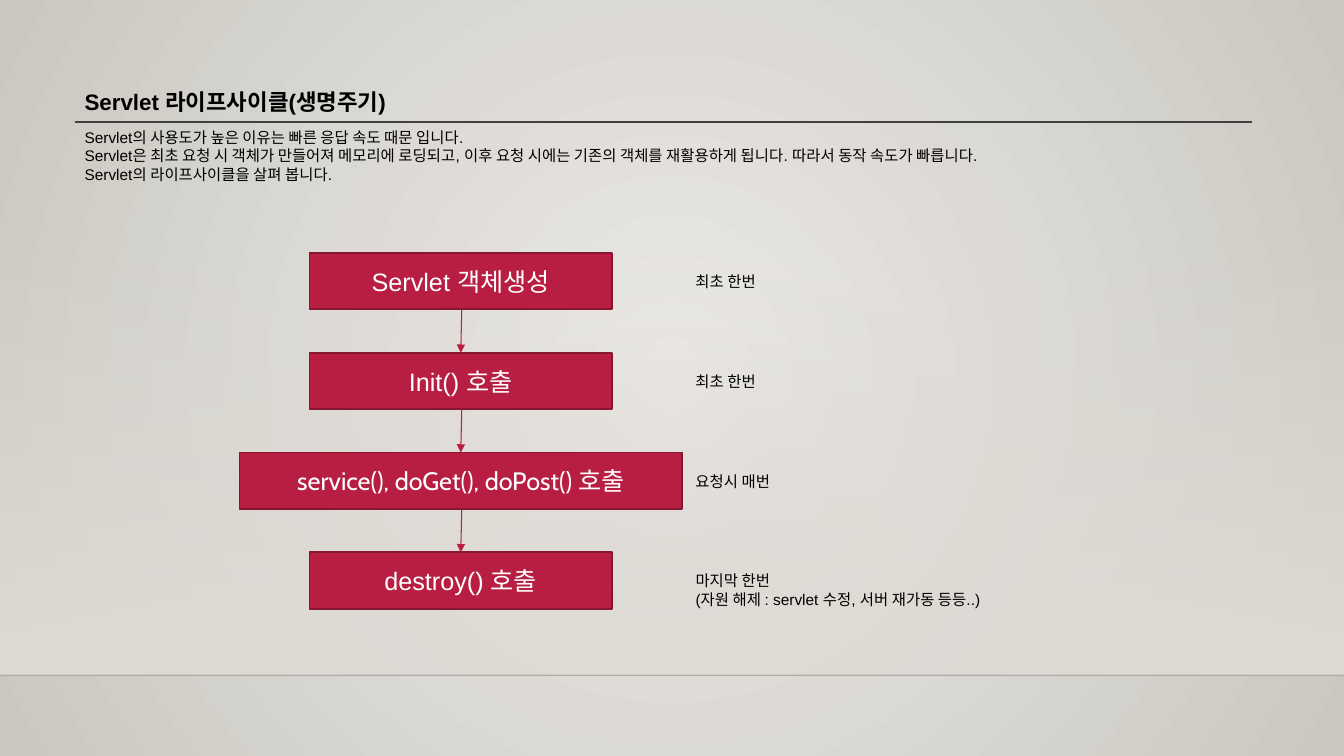
import lxml.etree
import pptx
import pptx.dml.color
import pptx.enum.dml
import pptx.enum.shapes
import pptx.enum.text
import pptx.oxml
import pptx.oxml.ns
import pptx.util

Inches = pptx.util.Inches
Pt = pptx.util.Pt
RGBColor = pptx.dml.color.RGBColor
qn = pptx.oxml.ns.qn

BLACK = RGBColor(0x00, 0x00, 0x00)
WHITE = RGBColor(0xFF, 0xFF, 0xFF)
CRIMSON = RGBColor(0xB7, 0x1E, 0x42)
DARK_CRIMSON = RGBColor(0x87, 0x16, 0x31)
RULE_GREY = RGBColor(0x40, 0x40, 0x40)
FLOOR_BLACK = RGBColor(0x00, 0x00, 0x01)
GLOW = RGBColor(0xEC, 0xEA, 0xE7)
EDGE = RGBColor(0xCA, 0xC7, 0xC1)
HAZE = RGBColor(0xDF, 0xDB, 0xD5)

RADIAL = ('<a:path path="circle"><a:fillToRect l="50000" t="50000" '
          'r="50000" b="50000"/></a:path>')
DOWNWARD = '<a:lin ang="5400000" scaled="0"/>'


class LifecycleSlide:
    font = "Arial"
    note_size = 11
    step_size = 18

    def __init__(self, slide):
        self.slide = slide

    def gradient(self, parent, start, end, direction, start_alpha=100):
        solid = parent.find(qn("a:solidFill"))
        parent.replace(solid, pptx.oxml.parse_xml(
            f'<a:gradFill {pptx.oxml.ns.nsdecls("a")} rotWithShape="1"><a:gsLst>'
            f'<a:gs pos="0"><a:srgbClr val="{start}">'
            f'<a:alpha val="{start_alpha * 1000}"/></a:srgbClr></a:gs>'
            f'<a:gs pos="100000"><a:srgbClr val="{end}"/></a:gs>'
            f'</a:gsLst>{direction}</a:gradFill>'))

    def background(self):
        self.slide.background.fill.solid()
        properties = self.slide.element.find(".//" + qn("p:bgPr"))
        self.gradient(properties, GLOW, EDGE, RADIAL)

    def rectangle(self, left, top, width, height, color):
        panel = self.slide.shapes.add_shape(
            pptx.enum.shapes.MSO_SHAPE.RECTANGLE,
            Inches(left), Inches(top), Inches(width), Inches(height))
        panel.shadow.inherit = False
        panel.fill.solid()
        panel.fill.fore_color.rgb = color
        return panel

    def haze(self, top, height):
        panel = self.rectangle(0, top, 13.33, height, HAZE)
        panel.line.fill.background()
        self.gradient(panel.element.spPr, HAZE, HAZE, DOWNWARD, start_alpha=0)

    def line(self, start, end, color, width, alpha=100, arrow=False):
        rule = self.slide.shapes.add_connector(
            pptx.enum.shapes.MSO_CONNECTOR.STRAIGHT,
            *map(Inches, (*start, *end)))
        rule.line.color.rgb = color
        rule.line.width = Pt(width)
        properties = rule.element.spPr
        outline = properties.find(qn("a:ln"))
        if alpha < 100:
            tint = outline.find(".//" + qn("a:srgbClr"))
            lxml.etree.SubElement(tint, qn("a:alpha")).set("val", str(alpha * 1000))
        if arrow:
            lxml.etree.SubElement(outline, qn("a:tailEnd")).set("type", "triangle")
        lxml.etree.SubElement(properties, qn("a:effectLst"))

    def format(self, frame, size, color, font=None, bold=False):
        for paragraph in frame.paragraphs:
            for run in paragraph.runs:
                run.font.name = font or self.font
                run.font.size = Pt(size)
                run.font.color.rgb = color
                run.font.bold = bold

    def text(self, left, top, width, height, words, size=note_size, bold=False):
        frame = self.slide.shapes.add_textbox(
            Inches(left), Inches(top), Inches(width), Inches(height)).text_frame
        frame.word_wrap = True
        frame.auto_size = pptx.enum.text.MSO_AUTO_SIZE.SHAPE_TO_FIT_TEXT
        frame.text = words
        self.format(frame, size, BLACK, bold=bold)

    def step(self, left, top, width, height, words, font):
        box = self.rectangle(left, top, width, height, CRIMSON)
        box.line.color.rgb = DARK_CRIMSON
        box.line.width = Pt(1.25)
        frame = box.text_frame
        frame.word_wrap = True
        frame.vertical_anchor = pptx.enum.text.MSO_ANCHOR.MIDDLE
        frame.text = words
        frame.paragraphs[0].alignment = pptx.enum.text.PP_ALIGN.CENTER
        self.format(frame, self.step_size, WHITE, font)


def main():
    presentation = pptx.Presentation()
    presentation.slide_width = Inches(13.33)
    presentation.slide_height = Inches(7.5)
    page = LifecycleSlide(presentation.slides.add_slide(presentation.slide_layouts[6]))

    page.background()
    page.haze(2.21, 4.49)
    page.line((0, 6.7), (13.33, 6.7), FLOOR_BLACK, 1, alpha=20)

    page.text(0.74, 0.83, 11.68, 0.37, "Servlet 라이프사이클(생명주기)", 16, True)
    page.line((0.74, 1.21), (12.42, 1.21), RULE_GREY, 1)
    page.text(0.74, 1.22, 11.68, 0.66, "\n".join((
        "Servlet의 사용도가 높은 이유는 빠른 응답 속도 때문 입니다.",
        "Servlet은 최초 요청 시 객체가 만들어져 메모리에 로딩되고, 이후 요청 시에는 "
        "기존의 객체를 재활용하게 됩니다. 따라서 동작 속도가 빠릅니다.",
        "Servlet의 라이프사이클을 살펴 봅니다.")))

    stages = (
        ("Servlet 객체생성", 3, "Arial", "최초 한번", 0.93, 0.29),
        ("Init() 호출", 3, "Arial", "최초 한번", 0.93, 0.29),
        ("service(), doGet(), doPost() 호출", 4.39, "Cabin", "요청시 매번", 1.26, 0.29),
        ("destroy() 호출", 3, "Arial",
         "마지막 한번\n(자원 해제 : servlet 수정, 서버 재가동 등등..)", 3.39, 0.47),
    )
    first_top, pitch, step_height, center = 2.51, 0.99, 0.56, 4.57
    for index, (call, width, font, timing, note_width, note_height) in enumerate(stages):
        top = first_top + index * pitch
        page.step(center - width / 2, top, width, step_height, call, font)
        page.text(6.8, top + 0.14, note_width, note_height, timing)
        if index:
            page.line((center + 0.01, top - pitch + step_height), (center, top),
                      CRIMSON, 0.75, arrow=True)

    presentation.save("out.pptx")


if __name__ == "__main__":
    main()
